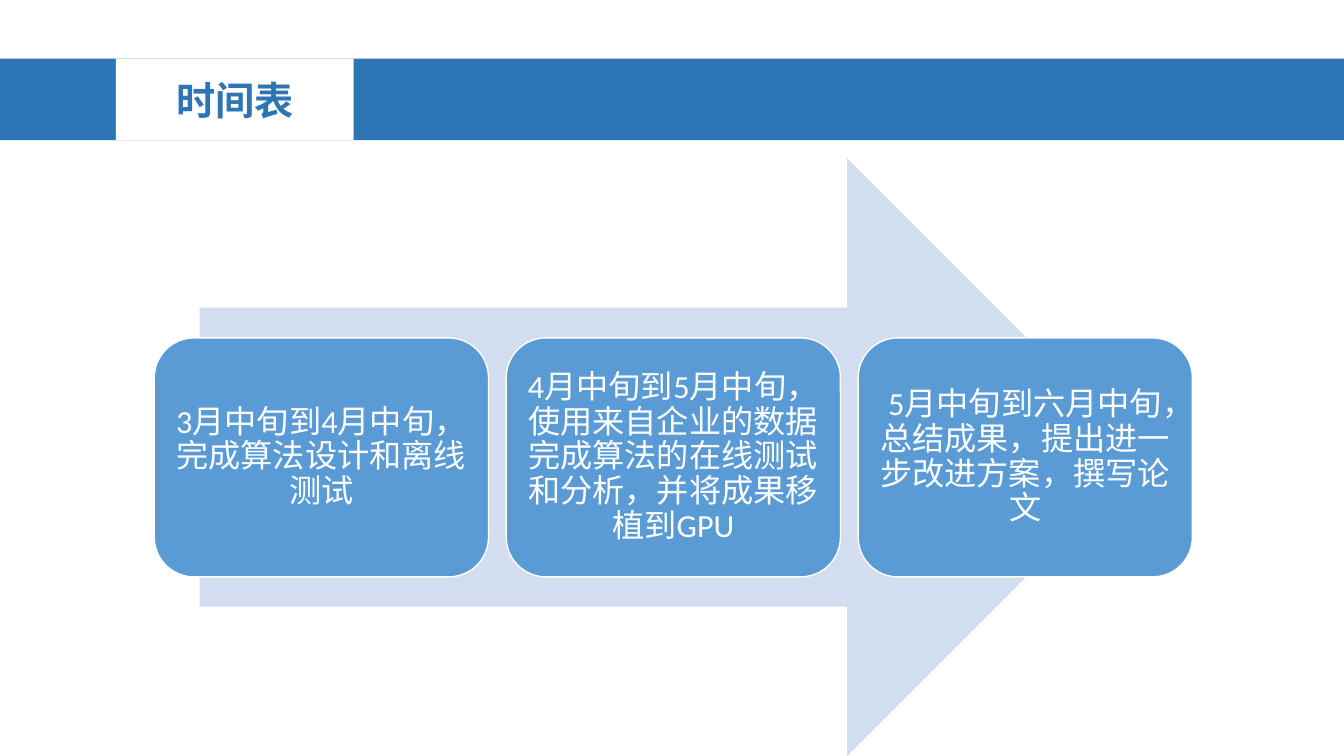
from pptx import Presentation
from pptx.dml.color import RGBColor
from pptx.enum.shapes import MSO_SHAPE
from pptx.enum.text import MSO_ANCHOR, MSO_AUTO_SIZE, PP_ALIGN
from pptx.util import Pt

COLORS = {
    "band": "2E75B6",
    "arrow": "D2DEEF",
    "card": "5B9BD5",
    "white": "FFFFFF",
}
FONT = "Calibri"
BAND_TOP, BAND_HEIGHT = 41.8, 58.3
CARD_LEFT, CARD_TOP, CARD_WIDTH, CARD_HEIGHT = 110.2, 241.3, 238.8, 170.8
CARD_PITCH = 251.4
STAGES = [
    "3月中旬到4月中旬，完成算法设计和离线测试",
    "4月中旬到5月中旬，使用来自企业的数据完成算法的在线测试和分析，并将成果移植到GPU",
    "5月中旬到六月中旬，总结成果，提出进一步改进方案，撰写论文",
]


def color(name):
    """Look up a palette colour."""
    return RGBColor.from_string(COLORS[name])


class Page:
    """Holds the current slide and the shared style."""

    def __init__(self, deck):
        """Add a slide with only a title."""
        self.slide = deck.slides.add_slide(deck.slide_layouts[5])

    def shape(self, kind, left, top, width, height, fill, line=None):
        """Add a filled preset shape, with an optional thin outline."""
        box = self.slide.shapes.add_shape(
            kind, Pt(left), Pt(top), Pt(width), Pt(height))
        box.shadow.inherit = False
        box.fill.solid()
        box.fill.fore_color.rgb = color(fill)
        if line:
            box.line.color.rgb = color(line)
            box.line.width = Pt(1)
        else:
            box.line.fill.background()
        return box

    def label(self, box, text, size, ink, bold=False, spacing=1.0):
        """Put centred text in the middle of a box."""
        frame = box.text_frame
        frame.text = text
        frame.word_wrap = True
        frame.auto_size = MSO_AUTO_SIZE.NONE
        frame.vertical_anchor = MSO_ANCHOR.MIDDLE
        para = frame.paragraphs[0]
        para.alignment = PP_ALIGN.CENTER
        para.line_spacing = spacing
        for span in para.runs:
            span.font.name = FONT
            span.font.size = Pt(size)
            span.font.bold = bold
            span.font.color.rgb = color(ink)

    def title(self, text, left, top, width, height):
        """Place the title as a white tab in front of the band."""
        box = self.slide.shapes.title
        box.left, box.top = Pt(left), Pt(top)
        box.width, box.height = Pt(width), Pt(height)
        box.fill.solid()
        box.fill.fore_color.rgb = color("white")
        self.label(box, text, 28, "band", bold=True)
        self.slide.shapes.element.append(box.element)

    def card(self, text, left):
        """Add one rounded stage card."""
        box = self.shape(MSO_SHAPE.ROUNDED_RECTANGLE, left, CARD_TOP,
                         CARD_WIDTH, CARD_HEIGHT, "card", "white")
        self.label(box, text, 23, "white", spacing=0.9)
        frame = box.text_frame
        frame.margin_left = frame.margin_right = Pt(6.9)
        frame.margin_top = frame.margin_bottom = Pt(6.9)


def main():
    """Build the timetable slide."""
    deck = Presentation()
    deck.slide_width, deck.slide_height = Pt(960), Pt(540)
    page = Page(deck)
    page.shape(MSO_SHAPE.RECTANGLE, 0, BAND_TOP, 960, BAND_HEIGHT, "band")
    page.title("时间表", 82.8, BAND_TOP, 169.9, BAND_HEIGHT)
    page.shape(MSO_SHAPE.RIGHT_ARROW, 142.6, 113, 676, 427, "arrow")
    for index, stage in enumerate(STAGES):
        page.card(stage, CARD_LEFT + index * CARD_PITCH)
    deck.save("out.pptx")


main()
